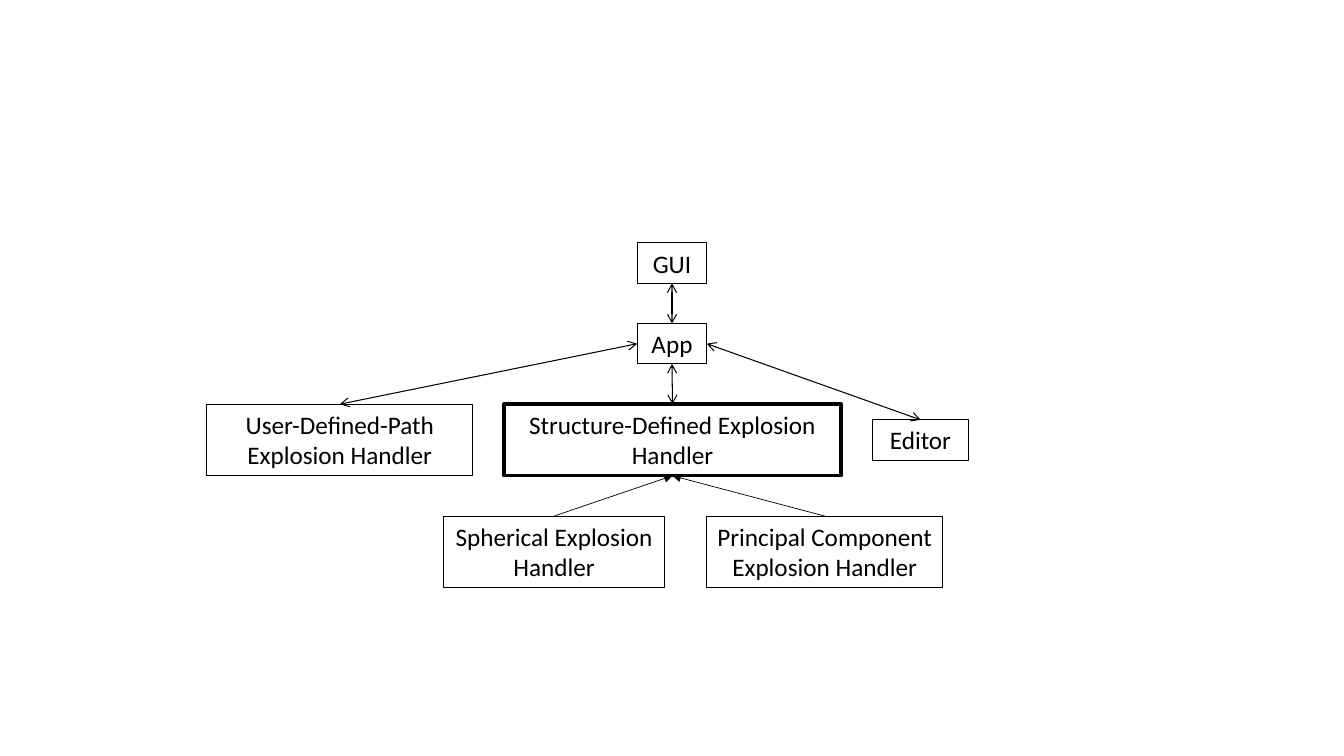
import dataclasses

import lxml.etree
import pptx
import pptx.dml.color
import pptx.enum.shapes
import pptx.enum.text
import pptx.oxml.ns
import pptx.util

Inches, Pt = pptx.util.Inches, pptx.util.Pt
qn = pptx.oxml.ns.qn
TOP, LEFT, BOTTOM, RIGHT = range(4)  # connection sites of a rectangle


@dataclasses.dataclass(frozen=True)
class Theme:
    font: str = "Calibri"
    size: float = 18
    ink: pptx.dml.color.RGBColor = pptx.dml.color.RGBColor(0, 0, 0)
    thin: float = 0.5
    normal: float = 0.75
    bold: float = 2.5


THEME = Theme()
FIRST_TOP, ROW_GAP = 2.41, 0.4
ONE_LINE, TWO_LINES = 0.4, 0.71

# Each row: height, left edge, gap between boxes, (name, width) of each box
ROWS = [
    (ONE_LINE, 6.32, 0, [("GUI", 0.69)]),
    (ONE_LINE, 6.32, 0, [("App", 0.69)]),
    (TWO_LINES, 2.05, 0.31, [
        ("User-Defined-Path Explosion Handler", 2.64),
        ("Structure-Defined Explosion Handler", 3.34),
        ("Editor", 0.96),
    ]),
    (TWO_LINES, 4.4, 0.42, [
        ("Spherical Explosion Handler", 2.19),
        ("Principal Component Explosion Handler", 2.34),
    ]),
]
MAIN_HANDLER = "Structure-Defined Explosion Handler"
EXCHANGES = [
    ("GUI", BOTTOM, "App", TOP),
    ("App", BOTTOM, MAIN_HANDLER, TOP),
    ("App", LEFT, "User-Defined-Path Explosion Handler", TOP),
    ("App", RIGHT, "Editor", TOP),
]
SPECIAL_HANDLERS = [name for name, width in ROWS[-1][-1]]


def add_box(s, text, left, top, width, height):
    sp = s.shapes.add_shape(pptx.enum.shapes.MSO_SHAPE.RECTANGLE,
                            Inches(left), Inches(top), Inches(width), Inches(height))
    sp.shadow.inherit = False
    sp.fill.background()
    sp.line.color.rgb = THEME.ink
    sp.line.width = Pt(THEME.bold if text == MAIN_HANDLER else THEME.normal)
    tf = sp.text_frame
    tf.word_wrap = True
    tf.auto_size = pptx.enum.text.MSO_AUTO_SIZE.SHAPE_TO_FIT_TEXT
    tf.vertical_anchor = pptx.enum.text.MSO_ANCHOR.TOP
    p = tf.paragraphs[0]
    p.alignment = pptx.enum.text.PP_ALIGN.CENTER
    r = p.add_run()
    r.text = text
    r.font.name = THEME.font
    r.font.size = Pt(THEME.size)
    r.font.color.rgb = THEME.ink
    return sp


def add_rows(s):
    """Stack the rows and return their boxes by name."""
    boxes = {}
    top = FIRST_TOP
    for height, left, gap, items in ROWS:
        for name, width in items:
            own = ONE_LINE if name == "Editor" else height
            boxes[name] = add_box(s, name, left, top + (height - own) / 2, width, own)
            left += width + gap
        top += height + ROW_GAP
    return boxes


def add_arrow(s, start, start_site, end, end_site, width, **ends):
    """Join two boxes; ends maps headEnd and tailEnd to arrowhead types."""
    c = s.shapes.add_connector(pptx.enum.shapes.MSO_CONNECTOR.STRAIGHT, 0, 0, 0, 0)
    c.begin_connect(start, start_site)
    c.end_connect(end, end_site)
    c.line.color.rgb = THEME.ink
    c.line.width = Pt(width)
    ln = c.line._get_or_add_ln()
    for tag, kind in ends.items():
        lxml.etree.SubElement(ln, qn(f"a:{tag}"), type=kind)
    lxml.etree.SubElement(c._element.spPr, qn("a:effectLst"))


def main():
    prs = pptx.Presentation()
    prs.slide_width, prs.slide_height = Inches(13.33), Inches(7.5)
    s = prs.slides.add_slide(prs.slide_layouts[6])
    boxes = add_rows(s)
    for start, start_site, end, end_site in EXCHANGES:
        add_arrow(s, boxes[start], start_site, boxes[end], end_site,
                  THEME.normal, headEnd="arrow", tailEnd="arrow")
    for name in SPECIAL_HANDLERS:
        add_arrow(s, boxes[name], TOP, boxes[MAIN_HANDLER], BOTTOM,
                  THEME.thin, tailEnd="triangle")
    prs.save("out.pptx")


if __name__ == "__main__":
    main()
